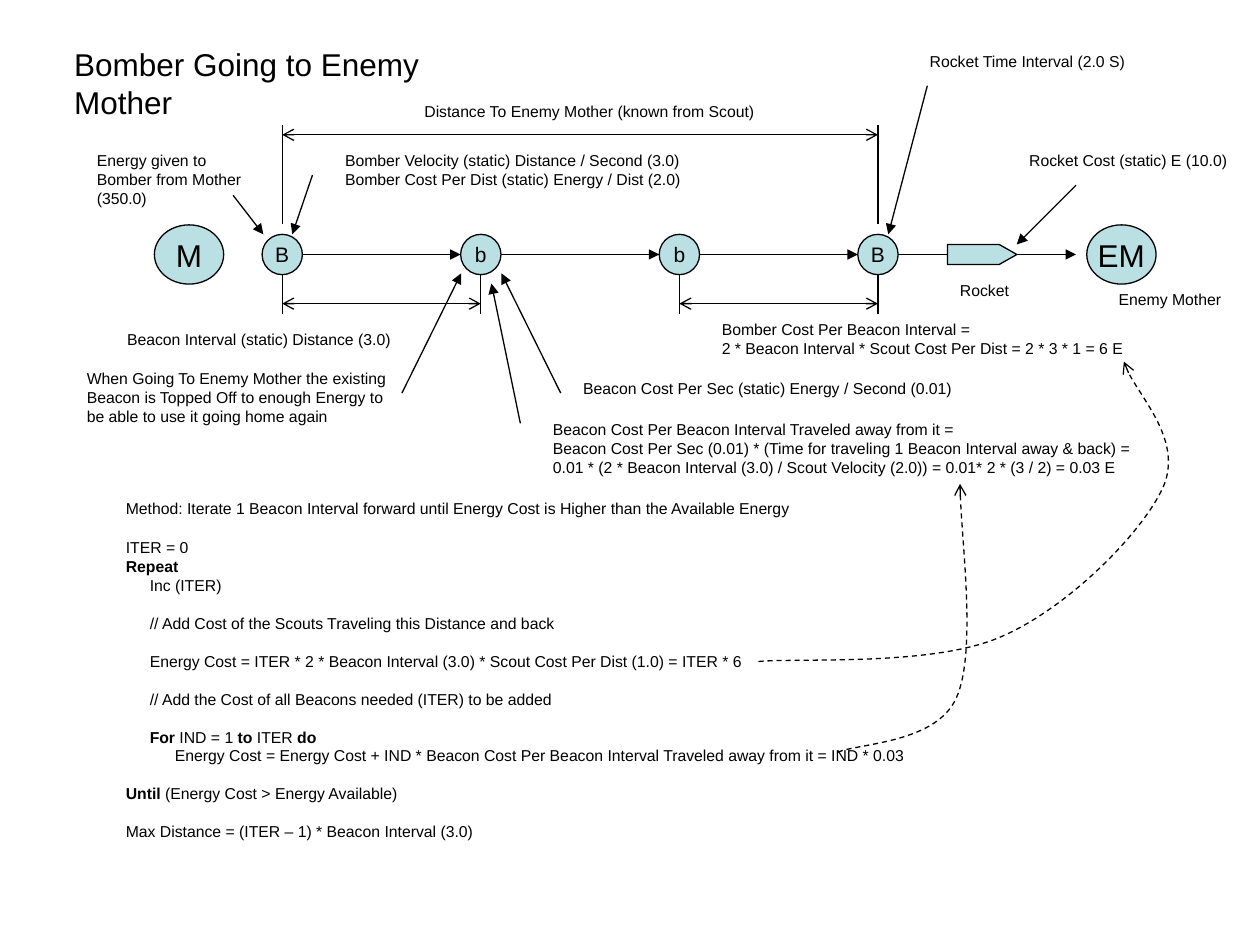
from collections import namedtuple
from lxml.etree import SubElement
from pptx import Presentation
from pptx.dml.color import RGBColor
from pptx.enum.dml import MSO_LINE
from pptx.enum.shapes import MSO_CONNECTOR, MSO_SHAPE
from pptx.enum.text import MSO_ANCHOR, MSO_AUTO_SIZE, PP_ALIGN
from pptx.oxml.ns import qn
from pptx.util import Inches, Pt

Theme = namedtuple("Theme", "ink fill font title node note rule gap")
theme = Theme(RGBColor(0, 0, 0), RGBColor(0xBB, 0xE0, 0xE3), "Arial",
              Pt(18), Pt(12), Pt(9), Pt(0.75), Pt(10.8))

deck = Presentation()
deck.slide_width, deck.slide_height = Inches(10), Inches(7.5)
shapes = deck.slides.add_slide(deck.slide_layouts[6]).shapes


def write(para, text, size):
    """Add runs to a paragraph; words between bars are bold."""
    for i, part in enumerate(text.split("|")):
        if part:
            run = para.add_run()
            run.text = part
            run.font.name, run.font.size = theme.font, size
            run.font.bold = i % 2 == 1
            run.font.color.rgb = theme.ink


def stroke(shape, head=None, tail=None, dash=None):
    """Draw a plain black line with optional arrowheads and no shadow."""
    shape.line.color.rgb = theme.ink
    shape.line.width = theme.rule
    if dash:
        shape.line.dash_style = dash
    props = shape.element.spPr
    for tag, kind in (("a:headEnd", head), ("a:tailEnd", tail)):
        if kind:
            SubElement(props.find(qn("a:ln")), qn(tag), type=kind)
    SubElement(props, qn("a:effectLst"))


# Track: four stops at equal steps between the two mothers
mid = 2.02
stops = [2.24 + 1.576 * i for i in range(4)]
first, second, third, last = stops
rad = 0.16

nodes = [("M", 1.5, 0.55, 0.47, theme.title), ("EM", 8.9, 0.55, 0.47, theme.title)]
nodes += [(name, x, 2 * rad, 2 * rad, theme.node) for name, x in zip("BbbB", stops)]
for name, x, wide, high, size in nodes:
    node = shapes.add_shape(MSO_SHAPE.OVAL, Inches(x - wide / 2), Inches(mid - high / 2),
                            Inches(wide), Inches(high))
    node.fill.solid()
    node.fill.fore_color.rgb = theme.fill
    stroke(node)
    frame = node.text_frame
    frame.word_wrap = False
    frame.vertical_anchor = MSO_ANCHOR.MIDDLE
    frame.paragraphs[0].alignment = PP_ALIGN.CENTER
    write(frame.paragraphs[0], name, size)

# Lines as (x1, y1, x2, y2), grouped by their arrowheads
hops = [(a + rad, mid, b - rad, mid) for a, b in zip(stops, stops[1:])]
hops.append((last + rad, mid, 8.54, mid))
hints = [
    (2.48, 1.39, 2.32, 1.86),
    (1.85, 1.55, 2.09, 1.86),
    (3.19, 3.12, 3.66, 2.17),
    (4.13, 3.36, 3.9, 2.25),
    (4.45, 3.12, 3.98, 2.17),
    (7.36, 0.68, 7.05, 1.86),
    (8.54, 1.47, 8.07, 1.94),
]
spans = [(first, 1.07, last, 1.07), (first, 2.41, second, 2.41), (third, 2.41, last, 2.41)]
ticks = [(x, 0.99, x, 1.78) for x in (first, last)]
ticks += [(x, 2.18, x, 2.49) for x in stops]
for lines, head, tail in ((hops + hints, None, "triangle"),
                          (spans, "arrow", "arrow"), (ticks, None, None)):
    for ends in lines:
        line = shapes.add_connector(MSO_CONNECTOR.STRAIGHT, *map(Inches, ends))
        stroke(line, head, tail)

rocket = shapes.add_shape(MSO_SHAPE.PENTAGON, Inches(7.52), Inches(mid - 0.08),
                          Inches(0.55), Inches(0.16))
rocket.adjustments[0] = 0.88
rocket.fill.solid()
rocket.fill.fore_color.rgb = theme.fill
stroke(rocket)

# Dashed curves: a start, then three Bezier points for each arc
curves = [
    [(6.02, 5.25), (6.34, 5.22), (7.39, 5.29), (7.93, 5.06), (8.46, 4.84),
     (9.06, 4.24), (9.23, 3.87), (9.39, 3.51), (8.98, 3.08), (8.92, 2.87)],
    [(6.65, 5.97), (6.81, 5.9), (7.43, 5.9), (7.59, 5.54),
     (7.75, 5.19), (7.62, 4.2), (7.62, 3.84)],
]
for points in curves:
    start, *rest = [(Inches(x), Inches(y)) for x, y in points]
    pen = shapes.build_freeform(*start)
    pen.add_line_segments(rest, close=False)
    curve = pen.convert_to_shape()
    curve.fill.background()
    stroke(curve, tail="arrow", dash=MSO_LINE.DASH)
    trail = curve.element.find(".//" + qn("a:path"))
    steps = trail.findall(qn("a:lnTo"))
    for i in range(0, len(steps), 3):
        arc = SubElement(trail, qn("a:cubicBezTo"))
        for step in steps[i:i + 3]:
            arc.append(step[0])
            trail.remove(step)

# Text: left, top, width, height, wrap, size, rows of (level, gap, text)
notes = [
    (0.49, 0.31, 3.78, 0.4, False, theme.title, ["Bomber Going to Enemy Mother"]),
    (8.78, 2.25, 1.01, 0.25, False, theme.note, ["Enemy Mother"]),
    (7.52, 2.18, 0.59, 0.25, False, theme.note, ["Rocket"]),
    (8.07, 1.15, 1.77, 0.25, False, theme.note, ["Rocket Cost (static) E (10.0)"]),
    (7.28, 0.36, 1.79, 0.25, False, theme.note, ["Rocket Time Interval (2.0 S)"]),
    (3.27, 0.76, 2.83, 0.25, False, theme.note,
     ["Distance To Enemy Mother (known from Scout)"]),
    (0.91, 2.57, 2.29, 0.25, False, theme.note,
     ["Beacon Interval (static) Distance (3.0)"]),
    (2.64, 1.15, 2.86, 0.4, False, theme.note,
     ["Bomber Velocity (static) Distance / Second (3.0)",
      "Bomber Cost Per Dist (static) Energy / Dist (2.0)"]),
    (5.63, 2.49, 3.38, 0.4, False, theme.note,
     ["Bomber Cost Per Beacon Interval =",
      "2 * Beacon Interval * Scout Cost Per Dist = 2 * 3 * 1 = 6 E"]),
    (4.53, 2.96, 3.16, 0.25, False, theme.note,
     ["Beacon Cost Per Sec (static) Energy / Second (0.01)"]),
    (4.29, 3.28, 4.78, 0.55, False, theme.note,
     ["Beacon Cost Per Beacon Interval Traveled away from it =",
      "Beacon Cost Per Sec (0.01) * (Time for traveling 1 Beacon Interval away & back) =",
      "0.01 * (2 * Beacon Interval (3.0) / Scout Velocity (2.0)) = 0.01* 2 * (3 / 2) = 0.03 E"]),
    (0.67, 1.15, 1.42, 0.55, True, theme.note,
     ["Energy given to Bomber from Mother (350.0)"]),
    (0.59, 2.88, 2.68, 0.55, True, theme.note,
     ["When Going To Enemy Mother the existing Beacon is Topped Off "
      "to enough Energy to be able to use it going home again"]),
    (0.9, 3.91, 5.51, 0.25, False, theme.note,
     ["Method: Iterate 1 Beacon Interval forward until Energy Cost is Higher "
      "than the Available Energy"]),
    (0.9, 4.22, 6.42, 2.51, False, theme.note, [
        "ITER = 0",
        "|Repeat|",
        (0.19, False, "Inc (ITER)"),
        (0.19, True, "// Add Cost of the Scouts Traveling this Distance and back"),
        (0.19, True, "Energy Cost = ITER * 2 * Beacon Interval (3.0) * "
                     "Scout Cost Per Dist (1.0) = ITER * 6"),
        (0.19, True, "// Add the Cost of all Beacons needed (ITER) to be added"),
        (0.19, True, "|For| IND = 1 |to| ITER |do|"),
        (0.39, False, "Energy Cost = Energy Cost + IND * Beacon Cost Per Beacon Interval "
                      "Traveled away from it = IND * 0.03"),
        (0, True, "|Until| (Energy Cost > Energy Available)"),
        (0, True, "Max Distance = (ITER – 1) * Beacon Interval (3.0)"),
    ]),
]
for *place, wrap, size, rows in notes:
    frame = shapes.add_textbox(*map(Inches, place)).text_frame
    frame.word_wrap = wrap
    frame.auto_size = MSO_AUTO_SIZE.SHAPE_TO_FIT_TEXT
    for i, row in enumerate(rows):
        indent, gap, text = (0, False, row) if isinstance(row, str) else row
        para = frame.add_paragraph() if i else frame.paragraphs[0]
        if indent:
            para._p.get_or_add_pPr().set("marL", str(Inches(indent)))
        if gap:
            para.space_before = theme.gap
        write(para, text, size)

deck.save("out.pptx")
